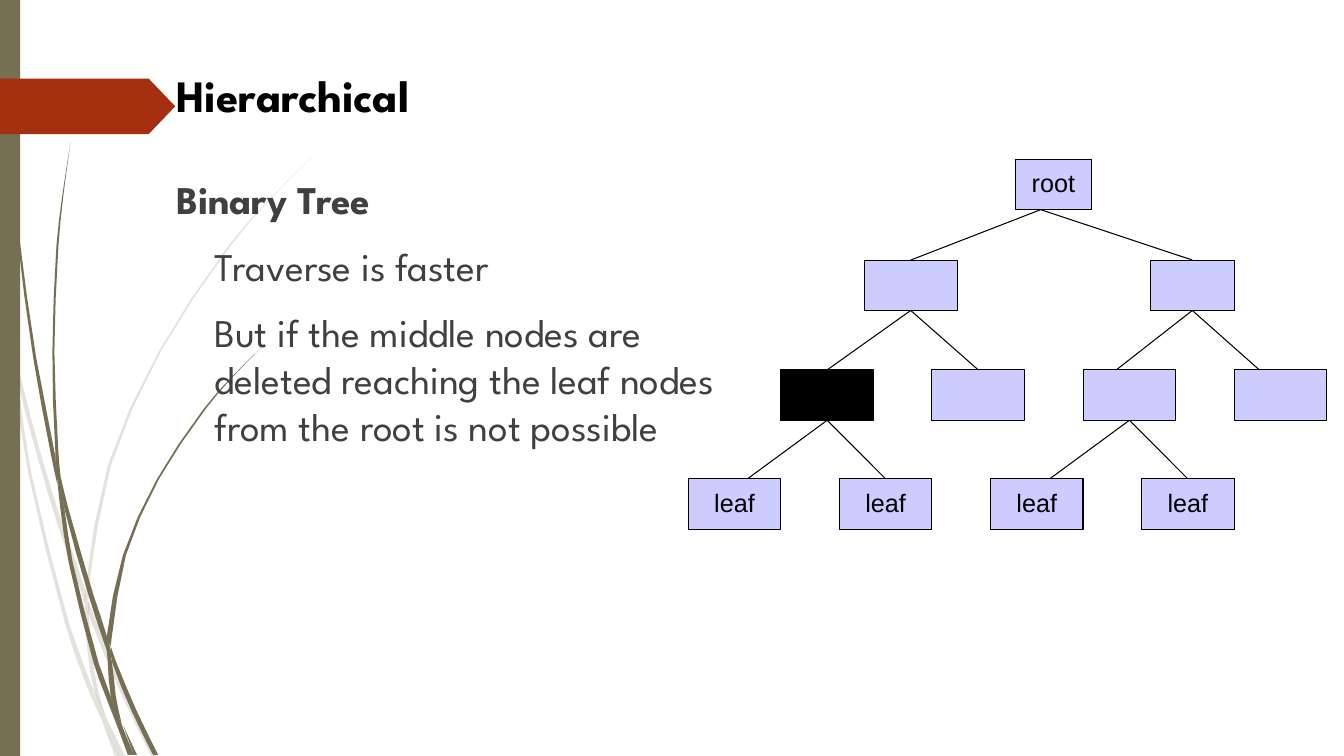
from lxml.etree import SubElement
from pptx import Presentation
from pptx.dml.color import RGBColor
from pptx.enum.shapes import MSO_CONNECTOR, MSO_SHAPE
from pptx.enum.text import MSO_ANCHOR, MSO_AUTO_SIZE, PP_ALIGN
from pptx.oxml.ns import qn
from pptx.util import Inches, Pt

OLIVE, RUST, LILAC, BLACK, GRAY = "766F54", "A53010", "CCCCFF", "000000", "404040"

# Each blade of grass: rows of (y, left edge, right edge), from top to bottom
PALE = [
    [(2.82, 0, 0), (2.99, 0, .04), (3.5, .11, .11)],
    [(3.45, .14, .14), (3.76, .17, .21), (4.49, .36, .4), (5.2, .57, .62),
     (5.86, .8, .85), (5.99, .84, .84)],
    [(5.96, .88, .88), (6.1, .88, .93), (6.92, 1.22, 1.27), (7.5, 1.5, 1.55)],
    [(7.11, 1.05, 1.05), (7.5, 1.19, 1.24)],
    [(3.5, .11, .11), (3.76, .14, .17), (4.69, .28, .31), (6.2, .65, .69),
     (6.83, .87, .92), (7.14, 1.01, 1.01)],
    [(5.99, .84, .84), (6.1, .84, .88), (6.46, .87, .91), (6.83, .93, .97), (7.11, 1.05, 1.05)],
    [(1.53, 3.12, 3.12), (1.98, 2.67, 2.68), (2.45, 2.26, 2.28), (3.48, 1.58, 1.6),
     (4.62, 1.07, 1.1), (5.83, .85, .88), (5.95, .88, .88)],
    [(7.14, 1.01, 1.01), (7.5, 1.14, 1.18)],
    [(5.86, .85, .85), (5.98, .84, .88), (6.1, .88, .88)],
    [(6.83, .93, .93), (7.11, 1, 1.05), (7.5, 1.18, 1.19)],
]
DARK = [
    [(0, .03, .03), (1.1, .07, .08), (2.33, .17, .19), (3.55, .33, .36), (4.53, .51, .55),
     (4.81, .57, .57)],
    [(4.72, .6, .6), (5.05, .64, .68), (5.91, .88, .93), (6.31, 1.01, 1.06), (6.45, 1.06, 1.06)],
    [(6.41, 1.1, 1.1), (6.56, 1.11, 1.15), (7.06, 1.31, 1.36), (7.49, 1.52, 1.57)],
    [(4.77, .57, .57), (5.05, .6, .64), (5.57, .68, .72), (6.58, .93, .98),
     (6.91, 1.05, 1.1), (7.22, 1.17, 1.17)],
    [(1.41, .7, .7), (1.93, .62, .63), (2.44, .56, .58), (3.49, .52, .54), (4.49, .55, .58),
     (4.72, .6, .6)],
    [(7.19, 1.22, 1.22), (7.49, 1.33, 1.36)],
    [(4.49, .55, .55), (4.72, .56, .6), (5.05, .64, .64)],
    [(3.44, 2.6, 2.6), (3.74, 2.3, 2.31), (4.06, 2.02, 2.04), (4.75, 1.56, 1.58),
     (5.51, 1.22, 1.25), (6.32, 1.06, 1.11), (6.41, 1.1, 1.1)],
    [(7.22, 1.17, 1.17), (7.49, 1.27, 1.3)],
    [(6.45, 1.06, 1.06), (6.56, 1.07, 1.11), (6.91, 1.1, 1.15), (7.19, 1.21, 1.21)],
    [(6.31, 1.06, 1.06), (6.45, 1.06, 1.1), (6.56, 1.1, 1.1)],
    [(6.91, 1.1, 1.1), (7.22, 1.17, 1.22), (7.49, 1.3, 1.33)],
]


def color(code):
    return RGBColor.from_string(code)


def paint(shape, fill, line=None):
    shape.shadow.inherit = False
    shape.fill.solid()
    shape.fill.fore_color.rgb = color(fill)
    if line:
        shape.line.color.rgb = color(line)
        shape.line.width = Pt(.75)
    else:
        shape.line.fill.background()


def write(para, text, font="League Spartan", size=28, ink=GRAY, bold=False,
          align=PP_ALIGN.LEFT, space=.99, after=0, indent=0):
    props = para._p.get_or_add_pPr()
    props.set("marL", str(Inches(indent)))
    props.set("indent", "0")
    para.alignment, para.line_spacing = align, space
    para.space_before, para.space_after = Pt(0), Pt(after)
    SubElement(props, qn("a:buNone"))
    run = para.add_run()
    run.text = text
    run.font.name, run.font.size, run.font.bold = font, Pt(size), bold
    run.font.color.rgb = color(ink)


def smooth(rows):
    """Add a row halfway between each two, on the curve through them all."""
    ends = [rows[0], *rows, rows[-1]]
    result = [rows[0]]
    for a, b, c, d in zip(ends, ends[1:], ends[2:], ends[3:]):
        middle = [(b[0] + c[0]) / 2]
        for i in (1, 2):
            slope = (c[i] - a[i]) / (c[0] - a[0]) - (d[i] - b[i]) / (d[0] - b[0])
            middle.append((b[i] + c[i]) / 2 + (c[0] - b[0]) * slope / 8)
        result += [middle, c]
    return result


def add_grass(slide, x, y, blades, alpha=None):
    for blade in blades:
        rows = smooth(blade)
        edge = [(left, top) for top, left, _ in rows]
        edge += [(right, top) for top, _, right in reversed(rows)]
        points = [(Inches(x + px), Inches(y + py)) for px, py in edge]
        form = slide.shapes.build_freeform(*points[0])
        form.add_line_segments(points[1:])
        shape = form.convert_to_shape()
        paint(shape, OLIVE)
        if alpha:
            tint = shape.element.spPr.find(".//" + qn("a:srgbClr"))
            SubElement(tint, qn("a:alpha")).set("val", str(alpha * 1000))


def add_decor(slide, x, y, height):
    add_grass(slide, x, y, PALE, alpha=20)
    add_grass(slide, x, y, DARK)
    bar = slide.shapes.add_shape(MSO_SHAPE.RECTANGLE, Inches(x), Inches(y),
                                 Inches(.2), Inches(height))
    paint(bar, OLIVE)
    flag = slide.shapes.add_shape(MSO_SHAPE.PENTAGON, Inches(x), Inches(y + .78),
                                  Inches(1.74), Inches(.55))
    flag.adjustments[0] = .48
    paint(flag, RUST)


def set_frame(holder, x, y, width, height, anchor):
    """Place a placeholder in front of what is drawn so far."""
    holder.left, holder.top = Inches(x), Inches(y)
    holder.width, holder.height = Inches(width), Inches(height)
    holder.element.getparent().append(holder.element)
    frame = holder.text_frame
    frame.margin_left = frame.margin_right = frame.margin_top = frame.margin_bottom = 0
    frame.word_wrap, frame.auto_size = True, MSO_AUTO_SIZE.NONE
    frame.vertical_anchor = anchor
    return frame


def add_title(slide, x, y, width, height):
    frame = set_frame(slide.shapes.title, x, y, width, height, MSO_ANCHOR.MIDDLE)
    write(frame.paragraphs[0], "Hierarchical", size=32, ink=BLACK, bold=True)


def add_body(slide, x, y, width, height):
    frame = set_frame(slide.placeholders[1], x, y, width, height, MSO_ANCHOR.TOP)
    write(frame.paragraphs[0], "Binary Tree", bold=True, after=14.3)
    for text in ("Traverse is faster",
                 "But if the middle nodes are deleted reaching the leaf nodes "
                 "from the root is not possible"):
        write(frame.add_paragraph(), text, after=14.3, indent=.38)


def add_node(slide, x, y, width=.92, text="", fill=LILAC):
    node = slide.shapes.add_shape(MSO_SHAPE.RECTANGLE, Inches(x), Inches(y),
                                  Inches(width), Inches(.5))
    paint(node, fill, BLACK)
    if text:
        node.text_frame.vertical_anchor = MSO_ANCHOR.MIDDLE
        write(node.text_frame.paragraphs[0], text, font="Arial", size=18, ink=BLACK,
              align=PP_ALIGN.CENTER, space=.93)
    return node


def add_link(slide, parent, start, child, end):
    """Join two nodes; an end near the middle of a side is glued to it."""
    start, end = Inches(start), Inches(end)
    link = slide.shapes.add_connector(MSO_CONNECTOR.STRAIGHT, start,
                                      parent.top + parent.height, end, child.top)
    link.line.color.rgb = color(BLACK)
    link.line.width = Pt(.75)
    SubElement(link.element.spPr, qn("a:effectLst"))
    if abs(parent.left + parent.width / 2 - start) < Inches(.06):
        link.begin_connect(parent, 2)
    if abs(child.left + child.width / 2 - end) < Inches(.06):
        link.end_connect(child, 0)


def add_tree(slide, x, y):
    root = add_node(slide, x + 3.25, y, .75, "root")
    left = add_node(slide, x + 1.75, y + 1)
    right = add_node(slide, x + 4.59, y + 1, .83)
    mids = [add_node(slide, x + .92 + 1.5 * i, y + 2.09, fill=LILAC if i else BLACK)
            for i in range(4)]
    leaves = [add_node(slide, x + 1.5 * i, y + 3.17, text="leaf") for i in range(4)]
    for parent, start, pair, ends in (
            (root, 3.5, (left, right), (2.17, 5)),
            (left, 2.17, mids[:2], (1.42, 2.84)),
            (right, 5, mids[2:], (4.25, 5.67)),
            (mids[0], 1.34, leaves[:2], (.59, 2)),
            (mids[2], 4.34, leaves[2:], (3.59, 5))):
        for child, end in zip(pair, ends):
            add_link(slide, parent, x + start, child, x + end)


def main():
    deck = Presentation()
    deck.slide_width, deck.slide_height = Inches(13.34), Inches(7.5)
    slide = deck.slides.add_slide(deck.slide_layouts[1])
    add_decor(slide, 0, 0, 7.5)
    add_title(slide, 1.75, .33, 10.91, 1.25)
    add_body(slide, 1.75, 1.76, 5.4, 5.74)
    add_tree(slide, 6.83, 1.58)
    deck.save("out.pptx")


if __name__ == "__main__":
    main()
